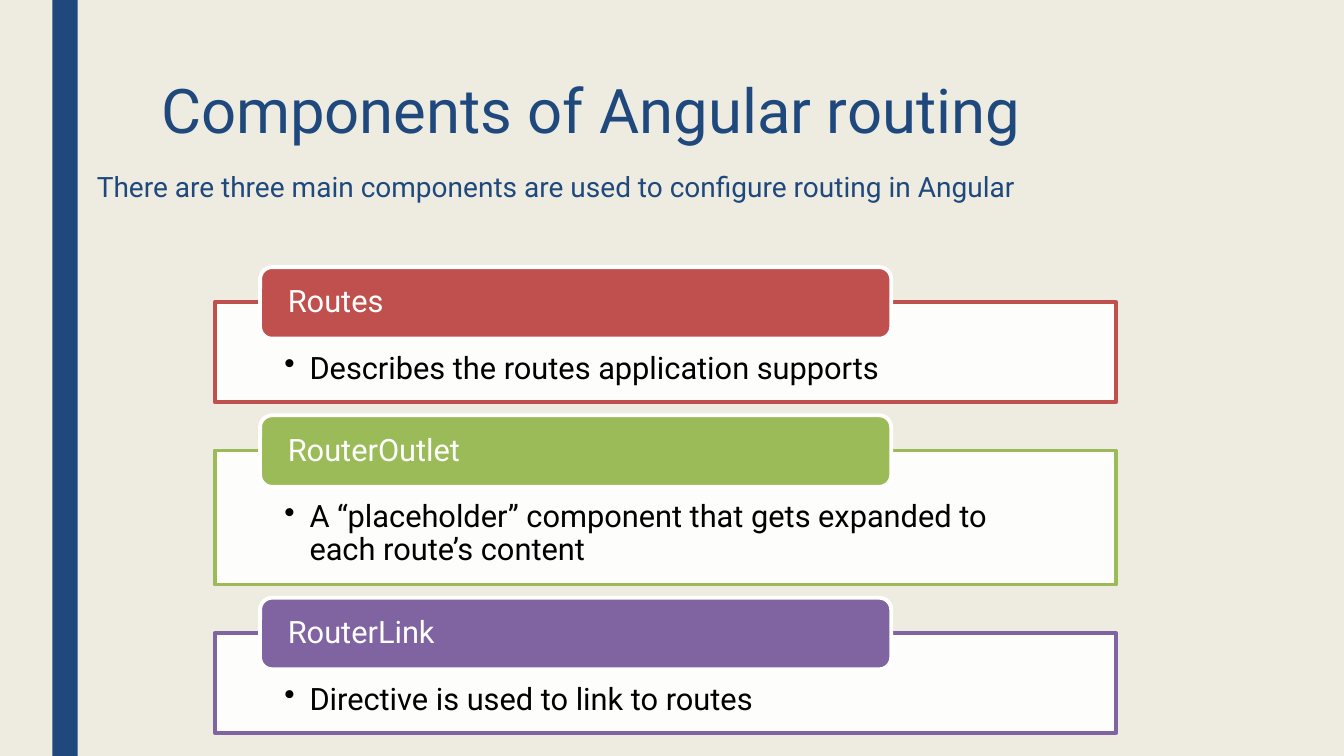
import pptx
import pptx.util
import pptx.dml.color
import pptx.enum.shapes
import pptx.enum.text
import pptx.oxml.ns
import lxml.etree
from dataclasses import dataclass
from pptx.util import Inches


@dataclass(frozen=True)
class Theme:
    font: str = "Roboto"
    background: str = "EEECE1"
    navy: str = "1F497D"
    white: str = "FFFFFF"
    black: str = "000000"
    red: str = "C0504D"
    green: str = "9BBB59"
    purple: str = "8064A2"
    title_size: int = 44
    subtitle_size: int = 20
    card_size: int = 22
    border: float = 2.75


theme = Theme()
rgb = pptx.dml.color.RGBColor.from_string
shape_kinds = pptx.enum.shapes.MSO_SHAPE
anchors = pptx.enum.text.MSO_ANCHOR


def write_text(shape, text, size, color, insets=(0.1, 0.05, 0.1, 0.05),
               anchor=anchors.TOP, line_spacing=1.0, space_before=0, bullet=False):
    frame = shape.text_frame
    frame.word_wrap = True
    frame.vertical_anchor = anchor
    frame.margin_left, frame.margin_top, frame.margin_right, frame.margin_bottom = map(Inches, insets)
    paragraph = frame.paragraphs[0]
    paragraph.alignment = pptx.enum.text.PP_ALIGN.LEFT
    paragraph.line_spacing = line_spacing
    paragraph.space_before = pptx.util.Pt(space_before)
    run = paragraph.add_run()
    run.text = text
    run.font.name = theme.font
    run.font.size = pptx.util.Pt(size)
    run.font.color.rgb = rgb(color)
    if bullet:
        properties = paragraph._p.get_or_add_pPr()
        properties.set("marL", str(Inches(0.25)))
        properties.set("indent", str(-Inches(0.25)))
        mark = lxml.etree.SubElement(properties, pptx.oxml.ns.qn("a:buChar"))
        mark.set("char", "•")


def add_block(kind, left, top, width, height, fill, line=None):
    shape = slide.shapes.add_shape(kind, Inches(left), Inches(top), Inches(width), Inches(height))
    shape.shadow.inherit = False
    shape.fill.solid()
    shape.fill.fore_color.rgb = rgb(fill)
    if line:
        shape.line.color.rgb = rgb(line)
        shape.line.width = pptx.util.Pt(theme.border)
    else:
        shape.line.fill.background()
    return shape


presentation = pptx.Presentation()
presentation.slide_width = Inches(13.33)
presentation.slide_height = Inches(7.5)
slide = presentation.slides.add_slide(presentation.slide_layouts[6])
slide.background.fill.solid()
slide.background.fill.fore_color.rgb = rgb(theme.background)

add_block(shape_kinds.RECTANGLE, 0.52, 0, 0.25, 7.5, theme.navy)

title = slide.shapes.add_textbox(Inches(1.5), Inches(0.75), Inches(10.5), Inches(0.8))
write_text(title, "Components of Angular routing", theme.title_size, theme.navy, line_spacing=0.89)

subtitle = slide.shapes.add_textbox(Inches(0.44), Inches(1.63), Inches(12.45), Inches(0.6))
write_text(subtitle, "There are three main components are used to configure routing in Angular",
           theme.subtitle_size, theme.navy, insets=(0.52, 0.05, 0.1, 0.05), space_before=10)

components = [
    ("Routes", "Describes the routes application supports", theme.red, 0.99),
    ("RouterOutlet", "A “placeholder” component that gets expanded to each route’s content", theme.green, 1.33),
    ("RouterLink", "Directive is used to link to routes", theme.purple, 0.99),
]
card_gap = 0.48
label_rise = 0.35
card_top = 3
for name, description, color, card_height in components:
    card = add_block(shape_kinds.RECTANGLE, 2.13, card_top, 8.94, card_height, theme.white, color)
    card_color = card.fill._xPr.find(".//" + pptx.oxml.ns.qn("a:srgbClr"))
    lxml.etree.SubElement(card_color, pptx.oxml.ns.qn("a:alpha")).set("val", "90000")
    write_text(card, description, theme.card_size, theme.black,
               insets=(0.69, 0.5, 0.69, 0.17), line_spacing=0.9, bullet=True)

    label = add_block(shape_kinds.ROUNDED_RECTANGLE, 2.58, card_top - label_rise, 6.26, 0.71, color, theme.white)
    write_text(label, name, theme.card_size, theme.white,
               insets=(0.24, 0, 0.24, 0), anchor=anchors.MIDDLE, line_spacing=0.9)
    card_top += card_height + card_gap

presentation.save("out.pptx")
